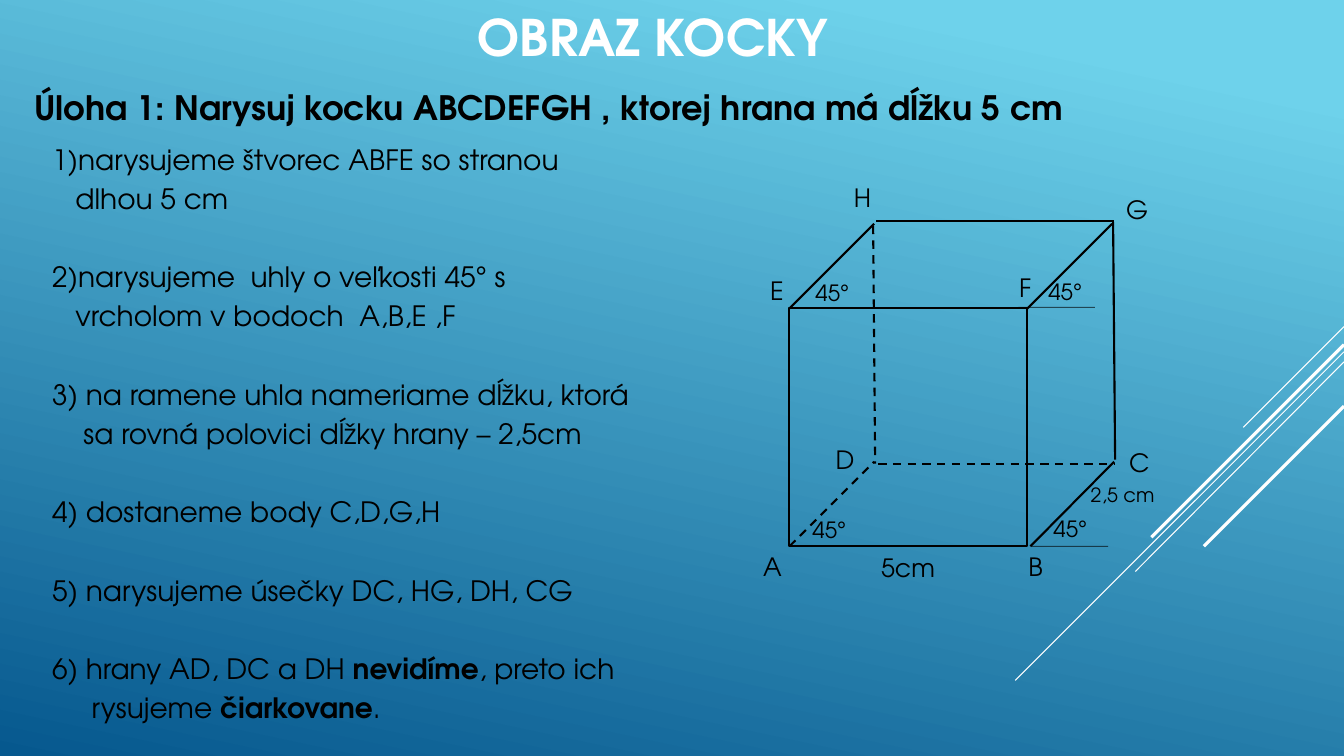
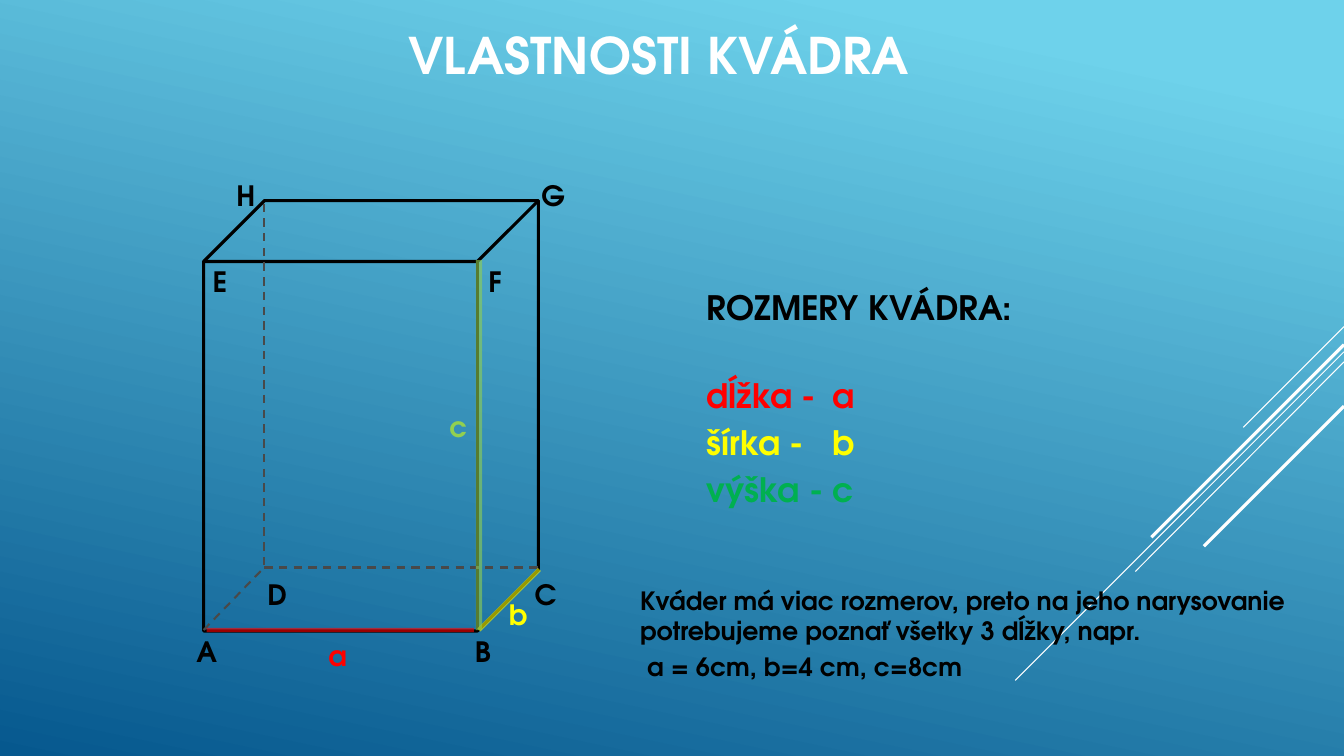
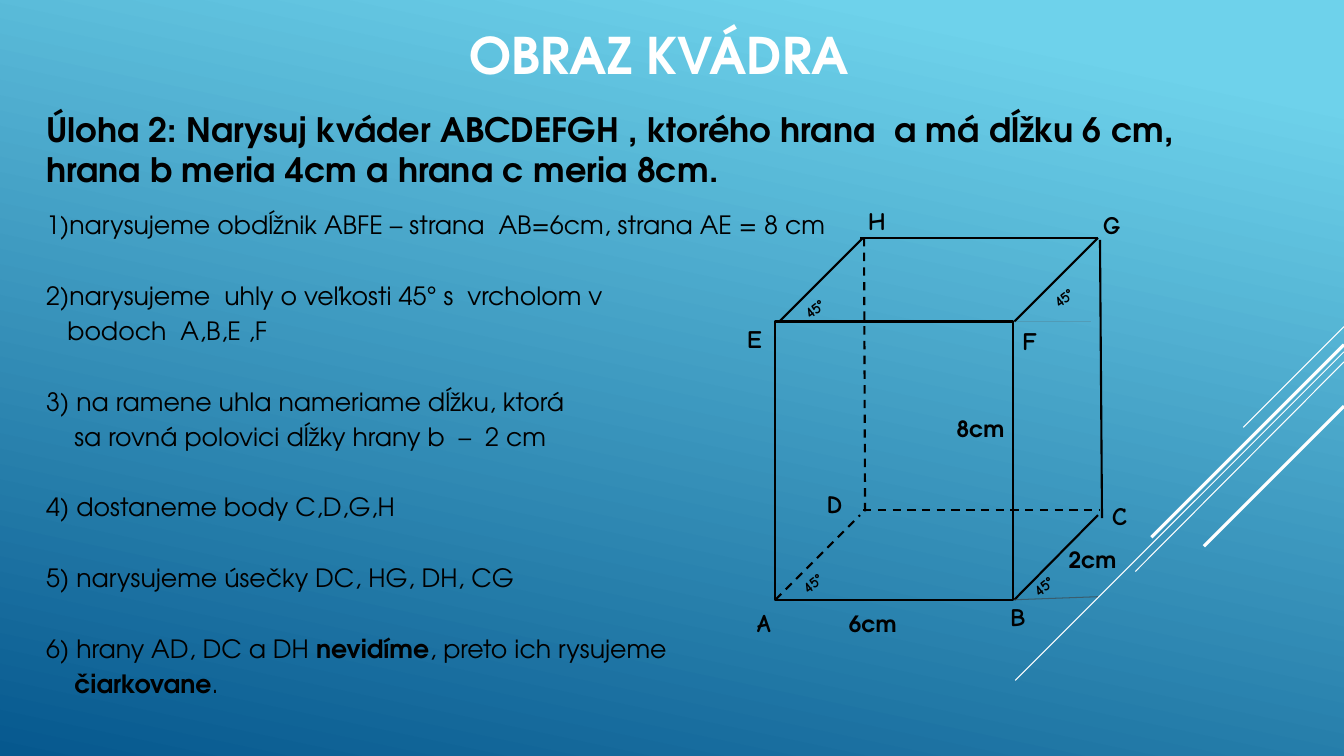
"""Builds three lesson slides about drawing a cube and a cuboid."""
import dataclasses

import pptx
import pptx.dml.color
import pptx.enum.dml
import pptx.enum.shapes
import pptx.enum.text
import pptx.oxml
import pptx.oxml.ns
import pptx.util

Inches = pptx.util.Inches
Pt = pptx.util.Pt
RGBColor = pptx.dml.color.RGBColor
SHAPE = pptx.enum.shapes.MSO_SHAPE
ALIGN = pptx.enum.text.PP_ALIGN
qn = pptx.oxml.ns.qn

SKY = RGBColor(0x6E, 0xD2, 0xEB)
DEEP_BLUE = RGBColor(0x06, 0x58, 0x8E)
WHITE = RGBColor(0xFF, 0xFF, 0xFF)
BLACK = RGBColor(0, 0, 0)
DARK_GREY = RGBColor(0x49, 0x49, 0x49)
ARM_GREY = RGBColor(0x59, 0x59, 0x59)
ARM_DARK = RGBColor(0x40, 0x40, 0x40)
RED = RGBColor(0xFF, 0, 0)
YELLOW = RGBColor(0xFF, 0xFF, 0)
GREEN = RGBColor(0, 0xB0, 0x50)
LIME = RGBColor(0x92, 0xD0, 0x50)

FONT = "TeX Gyre Adventor"
HAND_FONT = "Comic Neue"

RAYS = [
    ((13.33, 3.24), (12.33, 4.24), 0.75),
    ((13.33, 3.49), (10.07, 6.75), 0.75),
    ((13.33, 3.59), (11.26, 5.67), 0.75),
    ((13.33, 3.42), (11.42, 5.33), 2.25),
    ((13.33, 4.03), (11.94, 5.42), 2.25),
]


@dataclasses.dataclass
class Para:
    """A paragraph; words between double asterisks are bold."""
    text: str
    before: float = 0
    indent: float = 0
    color: RGBColor = BLACK
    tab: float = 0


def add_line(slide, start, end, color=BLACK, width=1.5, dashed=False, alpha=100):
    """Draw a straight line between two points."""
    line = slide.shapes.add_connector(
        pptx.enum.shapes.MSO_CONNECTOR.STRAIGHT, *map(Inches, start + end))
    line.line.color.rgb = color
    line.line.width = Pt(width)
    if dashed:
        line.line.dash_style = pptx.enum.dml.MSO_LINE.DASH
    properties = line.element.spPr
    if alpha < 100:
        tint = properties.find(".//" + qn("a:srgbClr"))
        tint.append(pptx.oxml.parse_xml(
            f'<a:alpha {pptx.oxml.ns.nsdecls("a")} val="{alpha * 1000}"/>'))
    properties.append(pptx.oxml.parse_xml(
        f'<a:effectLst {pptx.oxml.ns.nsdecls("a")}/>'))
    return line


def add_edges(slide, edges, **style):
    """Draw several lines of one style."""
    for start, end in edges:
        add_line(slide, start, end, **style)


def add_outline(slide, kind, place, width=1.5):
    """Draw an unfilled black preset shape."""
    outline = slide.shapes.add_shape(kind, *map(Inches, place))
    outline.shadow.inherit = False
    outline.fill.background()
    outline.line.color.rgb = BLACK
    outline.line.width = Pt(width)
    return outline


def write(paragraph, para, size, bold=False, font=FONT):
    """Fill a paragraph with formatted runs."""
    properties = paragraph._p.get_or_add_pPr()
    if para.indent:
        properties.set("marL", str(Inches(para.indent)))
    if para.tab:
        properties.append(pptx.oxml.parse_xml(
            f'<a:tabLst {pptx.oxml.ns.nsdecls("a")}>'
            f'<a:tab pos="{Inches(para.tab)}" algn="l"/></a:tabLst>'))
    if para.before:
        paragraph.space_before = Pt(para.before)
    for index, words in enumerate(para.text.split("**")):
        if words:
            run = paragraph.add_run()
            run.text = words
            style = {"name": font, "size": Pt(size), "bold": bold or index % 2 == 1}
            for name, value in style.items():
                setattr(run.font, name, value)
            run.font.color.rgb = para.color


def add_text(slide, place, paras, size, align=ALIGN.LEFT, rotation=0, **style):
    """Add a wrapped text box holding paragraphs."""
    box = slide.shapes.add_textbox(*map(Inches, place))
    box.rotation = rotation
    frame = box.text_frame
    frame.word_wrap = True
    frame.auto_size = pptx.enum.text.MSO_AUTO_SIZE.SHAPE_TO_FIT_TEXT
    for index, para in enumerate(paras):
        paragraph = frame.add_paragraph() if index else frame.paragraphs[0]
        paragraph.alignment = align
        write(paragraph, para, size, **style)


def add_labels(slide, labels, box, size, color=BLACK, **style):
    """Add short labels in boxes of one size."""
    for text, left, top in labels:
        add_text(slide, (left, top, *box), [Para(text, color=color)], size, **style)


def add_steps(slide, place, lines, size):
    """Write numbered steps; an indented line continues its step."""
    paras = []
    for text, indent in lines:
        gap = 0.2 if indent else 1.6
        paras.append(Para(text, gap * size if paras else 0, indent))
    add_text(slide, place, paras, size)


def add_slide(prs, title, left=1.87, top=0.19):
    """Add a slide and format its title."""
    slide = prs.slides.add_slide(prs.slide_layouts[5])
    heading = slide.shapes.title
    place = {"left": left, "top": top, "width": 9.33, "height": 0.9}
    for name, value in place.items():
        setattr(heading, name, Inches(value))
    frame = heading.text_frame
    frame.word_wrap = True
    frame.vertical_anchor = pptx.enum.text.MSO_ANCHOR.TOP
    frame.paragraphs[0].alignment = ALIGN.CENTER
    write(frame.paragraphs[0], Para(title, color=WHITE), 36, bold=True)
    return slide


def decorate_master(prs, slide):
    """Give the master its gradient and the white rays."""
    fill = prs.slide_master.background.fill
    fill.gradient()
    fill.gradient_angle = 258
    for stop, position, color in zip(fill.gradient_stops, (0.1, 1), (SKY, DEEP_BLUE)):
        stop.position = position
        stop.color.rgb = color
    for number, (start, end, width) in enumerate(RAYS, 20):
        ray = add_line(slide, start, end, WHITE, width)
        ray.element.nvCxnSpPr.cNvPr.id = number
        prs.slide_master.shapes.element.append(ray.element)


def draw_cube(slide):
    """Fill the slide on drawing a cube."""
    add_text(slide, (0.24, 0.81, 10.76, 0.5),
             [Para("Úloha 1: Narysuj kocku ABCDEFGH , ktorej hrana má dĺžku 5 cm")],
             24, bold=True)
    add_steps(slide, (0.42, 1.36, 6.06, 6.09), [
        ("1)narysujeme štvorec ABFE so stranou", 0),
        ("dlhou 5 cm", 0.23),
        ("2)narysujeme  uhly o veľkosti 45° s", 0),
        ("vrcholom v bodoch  A,B,E ,F", 0.23),
        ("3) na ramene uhla nameriame dĺžku, ktorá", 0),
        ("sa rovná polovici dĺžky hrany – 2,5cm", 0.31),
        ("4) dostaneme body C,D,G,H", 0),
        ("5) narysujeme úsečky DC, HG, DH, CG", 0),
        ("6) hrany AD, DC a DH **nevidíme**, preto ich", 0),
        ("rysujeme **čiarkovane**.", 0.39),
    ], 20)
    add_outline(slide, SHAPE.RECTANGLE, (7.83, 3.06, 2.36, 2.36))
    add_edges(slide, [
        ((7.83, 3.06), (8.67, 2.22)),
        ((10.19, 3.06), (11.03, 2.22)),
        ((10.22, 5.42), (11.05, 4.58)),
        ((8.69, 2.19), (11.05, 2.19)),
        ((11.04, 2.2), (11.06, 4.56)),
    ])
    add_edges(slide, [
        ((7.83, 5.42), (8.67, 4.58)),
        ((8.71, 4.6), (11.05, 4.6)),
        ((8.66, 2.24), (8.68, 4.6)),
    ], dashed=True)
    add_edges(slide, [
        ((10.1, 3.05), (10.86, 3.05)),
        ((10.23, 5.42), (10.99, 5.42)),
    ], width=0.75, alpha=60)
    add_labels(slide, [
        ("A", 7.47, 5.42), ("B", 10.1, 5.42), ("C", 11.1, 4.39), ("D", 8.19, 4.36),
        ("E", 7.54, 2.68), ("F", 10.01, 2.65), ("G", 11.07, 1.88), ("H", 8.37, 1.76),
    ], (0.45, 0.4), 18)
    add_labels(slide, [
        ("45°", 7.99, 2.72), ("45°", 10.35, 5.06),
        ("45°", 7.96, 5.07), ("45°", 10.3, 2.71),
    ], (0.67, 0.37), 16)
    add_labels(slide, [("5cm", 8.64, 5.43)], (0.76, 0.4), 18)
    add_labels(slide, [("2,5 cm", 10.72, 4.74)], (1.2, 0.34), 14)


def describe_cuboid(slide):
    """Fill the slide on the properties of a cuboid."""
    cuboid = add_outline(slide, SHAPE.CUBE, (2.02, 1.99, 3.32, 4.27), 2.25)
    cuboid.adjustments[0] = 0.182
    add_edges(slide, [
        ((2.62, 2.02), (2.62, 5.64)),
        ((2.62, 5.63), (5.34, 5.63)),
        ((2.02, 6.25), (2.62, 5.63)),
    ], color=DARK_GREY, dashed=True)
    add_labels(slide, [
        ("A", 1.84, 6.25), ("B", 4.58, 6.25), ("C", 5.2, 5.68), ("D", 2.54, 5.68),
        ("E", 1.97, 2.58), ("F", 4.7, 2.58), ("G", 5.27, 1.72), ("H", 2.23, 1.72),
    ], (0.42, 0.44), 20, align=ALIGN.CENTER, bold=True)
    for start, end, color, width, label in [
        ((2.05, 6.25), (4.7, 6.25), RED, 3, ("a", 3.16, 6.29)),
        ((4.75, 6.25), (5.35, 5.65), YELLOW, 3, ("b", 4.95, 5.88)),
        ((4.75, 2.58), (4.75, 6.25), LIME, 4.5, ("c", 4.36, 4.01)),
    ]:
        add_line(slide, start, end, color, width, alpha=60)
        add_labels(slide, [label], (0.43, 0.44), 20, color, bold=True)
    add_text(slide, (6.91, 2.8, 3.89, 2.36), [
        Para("ROZMERY KVÁDRA:"),
        Para("dĺžka -\ta", 33.6, color=RED, tab=1.25),
        Para("šírka -\tb", 4.8, color=YELLOW, tab=1.25),
        Para("výška -\tc", 4.8, color=GREEN, tab=1.25),
    ], 24, bold=True)
    add_text(slide, (6.25, 5.76, 6.67, 1.07), [
        Para("Kváder má viac rozmerov, preto na jeho narysovanie "
             "potrebujeme poznať všetky 3 dĺžky, napr."),
        Para("a = 6cm, b=4 cm, c=8cm", 3.6, 0.07),
    ], 18, bold=True)


def draw_cuboid(slide):
    """Fill the slide on drawing a cuboid."""
    add_text(slide, (0.36, 1.03, 11.5, 0.91), [
        Para("Úloha 2: Narysuj kváder ABCDEFGH , ktorého hrana  a má dĺžku 6 cm, "
             "hrana b meria 4cm a hrana c meria 8cm.")], 24, bold=True)
    add_steps(slide, (0.36, 2.03, 7.96, 5.13), [
        ("1)narysujeme obdĺžnik ABFE – strana  AB=6cm, strana AE = 8 cm", 0),
        ("2)narysujeme  uhly o veľkosti 45° s  vrcholom v", 0),
        ("bodoch  A,B,E ,F", 0.21),
        ("3) na ramene uhla nameriame dĺžku, ktorá", 0),
        ("sa rovná polovici dĺžky hrany b  –  2 cm", 0.28),
        ("4) dostaneme body C,D,G,H", 0),
        ("5) narysujeme úsečky DC, HG, DH, CG", 0),
        ("6) hrany AD, DC a DH **nevidíme**, preto ich rysujeme", 0),
        ("**čiarkovane**.", 0.28),
    ], 18)
    add_outline(slide, SHAPE.RECTANGLE, (7.69, 3.19, 2.36, 2.76))
    add_edges(slide, [
        ((10.06, 3.19), (10.89, 2.36)),
        ((7.73, 3.19), (8.56, 2.36)),
        ((10.06, 5.95), (10.89, 5.11)),
        ((8.53, 2.36), (10.89, 2.36)),
        ((10.91, 2.38), (10.93, 5.14)),
    ])
    add_edges(slide, [
        ((7.69, 5.95), (8.53, 5.11)),
        ((8.57, 2.36), (8.58, 5.11)),
        ((8.56, 5.06), (10.91, 5.06)),
    ], dashed=True)
    add_line(slide, (10.06, 3.19), (10.82, 3.19), ARM_GREY, 0.25, alpha=60)
    add_line(slide, (10.06, 5.95), (10.89, 5.92), ARM_DARK, 0.75, alpha=60)
    add_labels(slide, [
        ("45°", 7.85, 2.82), ("45°", 7.83, 5.54),
        ("45°", 10.12, 5.57), ("45°", 10.32, 2.71),
    ], (0.73, 0.29), 11, rotation=322.4, bold=True, font=HAND_FONT)
    add_labels(slide, [
        ("A", 7.41, 5.98), ("B", 9.92, 5.92), ("C", 10.93, 4.91), ("D", 8.1, 4.8),
        ("E", 7.31, 3.16), ("F", 10.04, 3.18), ("G", 10.84, 2.03), ("H", 8.51, 1.99),
    ], (0.53, 0.4), 18, bold=True, font=HAND_FONT)
    add_labels(slide, [
        ("6cm", 8.32, 6), ("8cm", 9.39, 4.07), ("2cm", 10.5, 5.37),
    ], (0.75, 0.37), 16, bold=True)


def main():
    """Build and save the presentation."""
    prs = pptx.Presentation()
    prs.slide_width = Inches(13.33)
    prs.slide_height = Inches(7.5)
    cube = add_slide(prs, "OBRAZ KOCKY", 1.81, 0.01)
    decorate_master(prs, cube)
    draw_cube(cube)
    describe_cuboid(add_slide(prs, "VLASTNOSTI KVÁDRA"))
    draw_cuboid(add_slide(prs, "OBRAZ KVÁDRA"))
    prs.save("out.pptx")


if __name__ == "__main__":
    main()
